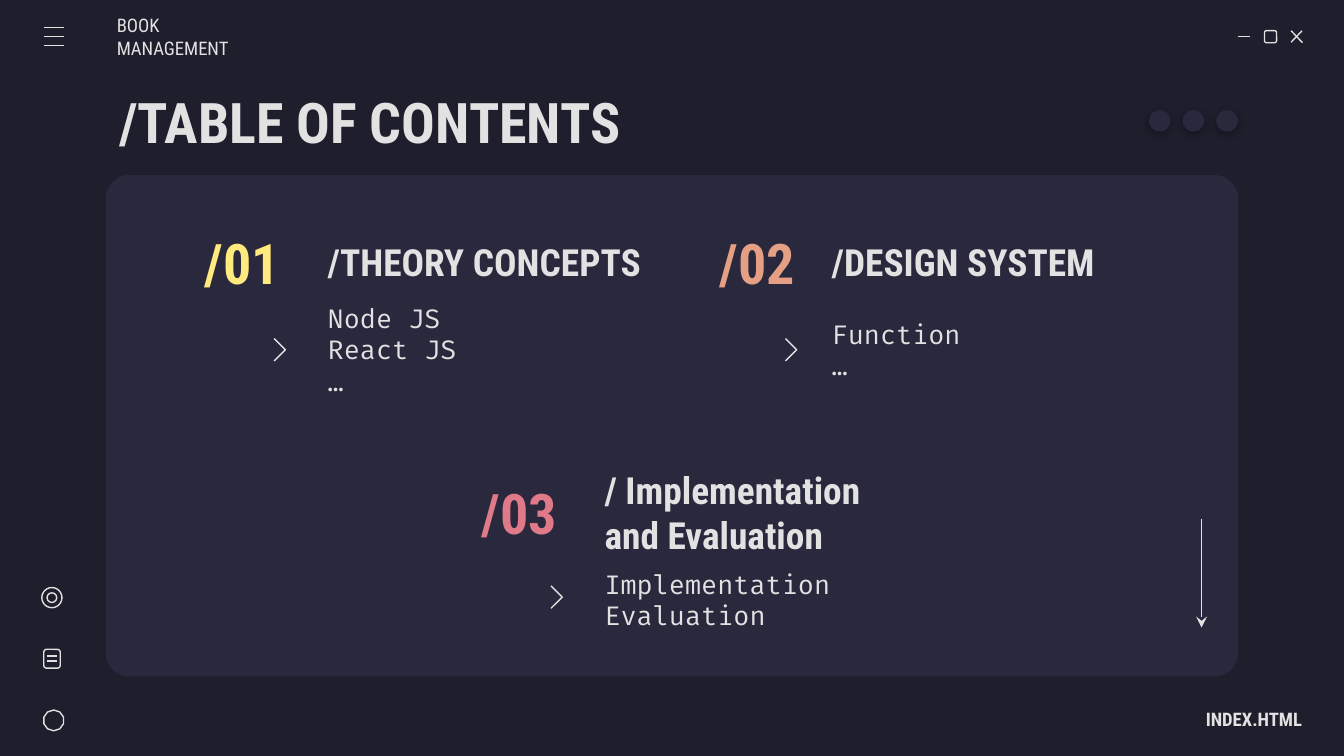
from lxml import etree
from pptx import Presentation
from pptx.dml.color import RGBColor
from pptx.enum.shapes import MSO_CONNECTOR, MSO_SHAPE
from pptx.enum.text import MSO_ANCHOR, PP_ALIGN
from pptx.oxml import parse_xml
from pptx.oxml.ns import nsdecls, qn
from pptx.util import Pt

STRAIGHT = MSO_CONNECTOR.STRAIGHT
ROUNDED = MSO_SHAPE.ROUNDED_RECTANGLE
OVAL = MSO_SHAPE.OVAL
STAR = MSO_SHAPE.STAR_5_POINT
MIDDLE = MSO_ANCHOR.MIDDLE
LEFT, CENTER, RIGHT = PP_ALIGN.LEFT, PP_ALIGN.CENTER, PP_ALIGN.RIGHT

NIGHT, PANEL, LIGHT = "1E1E2C", "29283D", "E2E2E2"
LINE_WIDTH = 0.75
INSET = 7.2

TITLE = {"name": "Roboto Condensed", "size": Pt(30), "bold": True}
HEADING = {"name": "Roboto Condensed", "size": Pt(20), "bold": True}
BODY = {"name": "Fira Code", "size": Pt(14), "bold": False}
LABEL = {"name": "Roboto Condensed", "size": Pt(10), "bold": False}
BOLD_LABEL = {**LABEL, "bold": True}

# number, colour, heading, items, number left, heading left, top, chevron left and top
SECTIONS = [
    ("/01", "FFEA7D", "/THEORY CONCEPTS", ["Node JS", "React JS", "…"],
     97.2, 168.5, 120.2, 146.9, 181.4),
    ("/02", "E5A083", "/DESIGN SYSTEM", ["Function", "…"],
     373, 438.5, 120.2, 420.8, 181.4),
    ("/03", "E07A88", "/ Implementation and Evaluation", ["Implementation", "Evaluation"],
     245.5, 316.8, 254.2, 295.2, 313.9),
]


def color(hex_string):
    return RGBColor.from_string(hex_string)


def add_text(page, frame, lines, style, ink=LIGHT, align=LEFT, left_inset=INSET, right_inset=INSET):
    box = page.shapes.add_textbox(*map(Pt, frame))
    text = box.text_frame
    settings = {"word_wrap": True, "vertical_anchor": MIDDLE,
                "margin_left": Pt(left_inset), "margin_right": Pt(right_inset),
                "margin_top": Pt(INSET), "margin_bottom": Pt(INSET)}
    for name, value in settings.items():
        setattr(text, name, value)
    for index, line in enumerate(lines):
        para = text.add_paragraph() if index else text.paragraphs[0]
        para.alignment = align
        span = para.add_run()
        span.text = line
        for name, value in style.items():
            setattr(span.font, name, value)
        span.font.color.rgb = color(ink)


def set_outline(shape):
    shape.line.color.rgb = color(LIGHT)
    shape.line.width = Pt(LINE_WIDTH)


def add_filled(page, kind, frame):
    shape = page.shapes.add_shape(kind, *map(Pt, frame))
    shape.shadow.inherit = False
    shape.fill.solid()
    shape.fill.fore_color.rgb = color(PANEL)
    shape.line.fill.background()
    return shape


def add_outlined(page, kind, frame):
    shape = page.shapes.add_shape(kind, *map(Pt, frame))
    shape.shadow.inherit = False
    shape.fill.background()
    set_outline(shape)
    return shape


def add_line(page, *ends):
    line = page.shapes.add_connector(STRAIGHT, *map(Pt, ends))
    set_outline(line)
    etree.SubElement(line._element.spPr, qn("a:effectLst"))
    return line


def add_chevron(page, left, top):
    builder = page.shapes.build_freeform(Pt(left), Pt(top))
    builder.add_line_segments(
        [(Pt(left + 6), Pt(top + 6)), (Pt(left), Pt(top + 12))], close=False)
    chevron = builder.convert_to_shape()
    chevron.shadow.inherit = False
    chevron.fill.background()
    set_outline(chevron)


def add_soft_shadow(shape):
    effects = shape._element.spPr.find(qn("a:effectLst"))
    effects.append(parse_xml(
        f'<a:outerShdw {nsdecls("a")} blurRad="{Pt(4.5)}" dist="{Pt(1.5)}" dir="5400000" '
        'algn="bl" rotWithShape="0"><a:srgbClr val="000000"><a:alpha val="30000"/>'
        '</a:srgbClr></a:outerShdw>'))


def add_window_buttons(page):
    add_line(page, 663.1, 19.6, 669.6, 19.6)
    add_outlined(page, ROUNDED, (677.4, 16.4, 6.5, 6.5))
    add_line(page, 691.7, 16.5, 697.8, 22.9)
    add_line(page, 697.5, 16.5, 691.7, 22.6)


def add_section(page, number, accent, heading, items, number_left, heading_left, top,
                chevron_left, chevron_top):
    add_text(page, (heading_left, top, 184.3, 40.3), [heading], HEADING)
    add_text(page, (number_left, top, 65.5, 40.3), [number], TITLE, accent, CENTER)
    add_text(page, (heading_left, top + 40, 184.3, 54), items, BODY)
    add_chevron(page, chevron_left, chevron_top)


def add_menu_icon(page):
    for row in range(3):
        y = 14.9 + 4.7 * row
        add_line(page, 23.4, y, 34.2, y)


def add_side_icons(page):
    star = add_outlined(page, STAR, (23.5, 380.4, 10.6, 10.1))
    star.adjustments[0] = 0.508
    add_outlined(page, ROUNDED, (23.5, 347.9, 8.8, 10.1))
    for y in (351.4, 354.2):
        add_line(page, 25.2, y, 30.4, y)
    add_outlined(page, OVAL, (22.4, 314.8, 10.8, 10.8))
    add_outlined(page, OVAL, (25.2, 317.6, 5.2, 5.2))


def add_scroll_arrow(page):
    arrow = add_line(page, 643.7, 277.9, 643.7, 336.2)
    etree.SubElement(arrow.line._get_or_add_ln(), qn("a:tailEnd"), type="stealth")


def add_dots(page):
    for column in range(3):
        add_soft_shadow(add_filled(page, OVAL, (615.6 + 18 * column, 59, 11.5, 11.5)))


def main():
    deck = Presentation()
    deck.slide_width, deck.slide_height = Pt(720), Pt(405)
    page = deck.slides.add_slide(deck.slide_layouts[6])
    page.background.fill.solid()
    page.background.fill.fore_color.rgb = color(NIGHT)

    panel = add_filled(page, ROUNDED, (56.7, 93.8, 606.6, 268.6))
    panel.adjustments[0] = 0.047
    add_window_buttons(page)
    for section in SECTIONS:
        add_section(page, *section)
    add_text(page, (56.7, 42.5, 606.6, 45.1), ["/TABLE OF CONTENTS"], TITLE)
    add_text(page, (62.6, 8.8, 84.2, 21.6), ["BOOK MANAGEMENT"], LABEL, left_inset=0)
    add_menu_icon(page)
    add_side_icons(page)
    add_text(page, (613.3, 374.6, 84.2, 21.6), ["INDEX.HTML"], BOLD_LABEL, align=RIGHT,
             right_inset=0)
    add_scroll_arrow(page)
    add_dots(page)
    deck.save("out.pptx")


if __name__ == "__main__":
    main()
